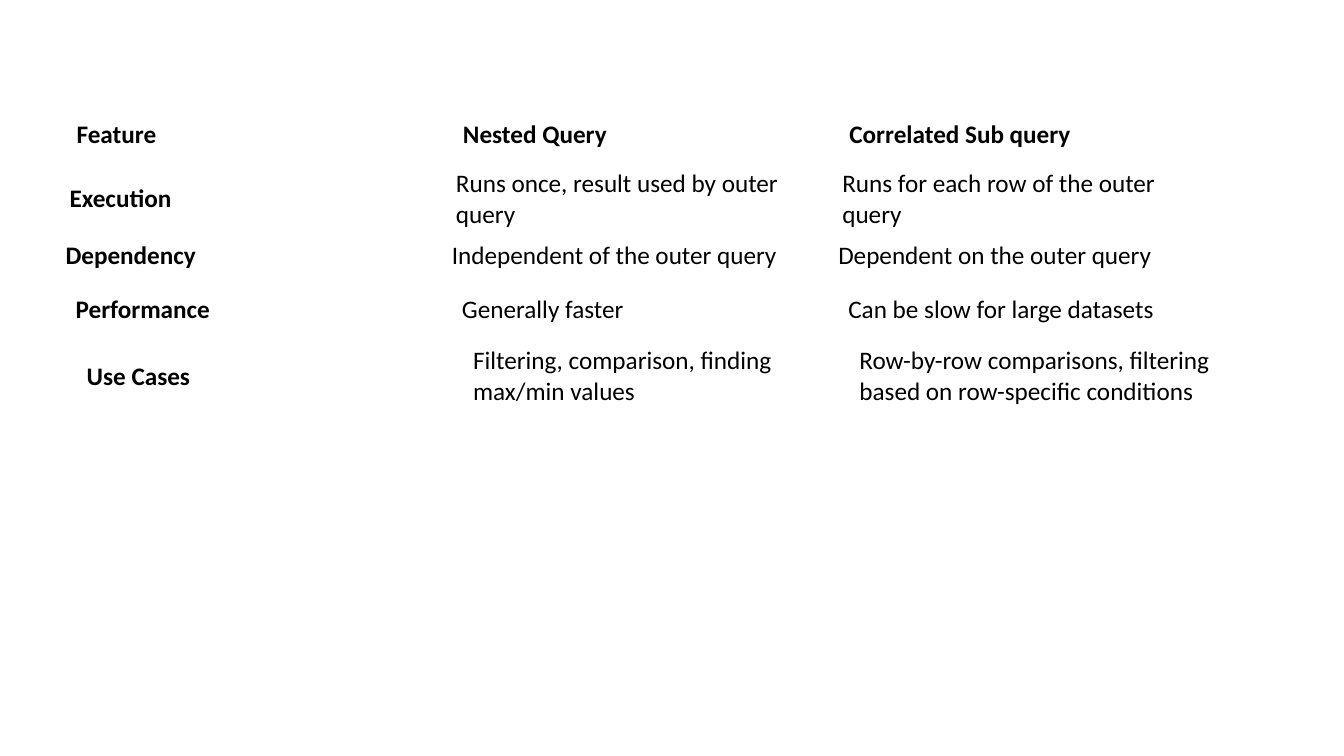
import pptx
import pptx.dml.color
import pptx.enum.text
import pptx.util

Pt = pptx.util.Pt
BLACK = pptx.dml.color.RGBColor(0x00, 0x00, 0x00)

COLUMN_WIDTH = 276
ONE_LINE, TWO_LINES = 28.8, 50.4

# left, top, height, feature, nested query, correlated sub query
COMPARISON = [
    (47.5, 81.4, ONE_LINE, "Feature", "Nested Query", "Correlated Sub query"),
    (42.5, 116.6, TWO_LINES, "Execution",
     "Runs once, result used by outer query",
     "Runs for each row of the outer query"),
    (39.6, 168.5, ONE_LINE, "Dependency",
     "Independent of the outer query", "Dependent on the outer query"),
    (46.8, 206.6, ONE_LINE, "Performance",
     "Generally faster", "Can be slow for large datasets"),
    (54.7, 243.4, TWO_LINES, "Use Cases",
     "Filtering, comparison, finding max/min values",
     "Row-by-row comparisons, filtering based on row-specific conditions"),
]


class ComparisonSlide:
    FONT = {"name": "Calibri", "size": Pt(18)}
    PLAIN_TABLE = {"first_row": False, "horz_banding": False}

    def __init__(self, deck):
        self.slide = deck.slides.add_slide(deck.slide_layouts[6])

    @staticmethod
    def apply(target, formats):
        for attribute, value in formats.items():
            setattr(target, attribute, value)

    def table_row(self, left, top, height, texts, is_header):
        """Add a one-row table; the first cell, or the whole header, is bold."""
        table = self.slide.shapes.add_table(
            1, len(texts), Pt(left), Pt(top),
            Pt(COLUMN_WIDTH * len(texts)), Pt(height)).table
        self.apply(table, self.PLAIN_TABLE)
        for index, text in enumerate(texts):
            self.cell(table.cell(0, index), text, is_header or index == 0)

    def cell(self, cell, text, bold):
        cell.text = text
        cell.fill.background()
        cell.vertical_anchor = pptx.enum.text.MSO_ANCHOR.MIDDLE
        font = cell.text_frame.paragraphs[0].runs[0].font
        self.apply(font, {**self.FONT, "bold": bold})
        font.color.rgb = BLACK


def main():
    deck = pptx.Presentation()
    deck.slide_width, deck.slide_height = Pt(960), Pt(540)
    comparison = ComparisonSlide(deck)
    for index, (left, top, height, *texts) in enumerate(COMPARISON):
        comparison.table_row(left, top, height, texts, is_header=index == 0)
    deck.save("out.pptx")


if __name__ == "__main__":
    main()
